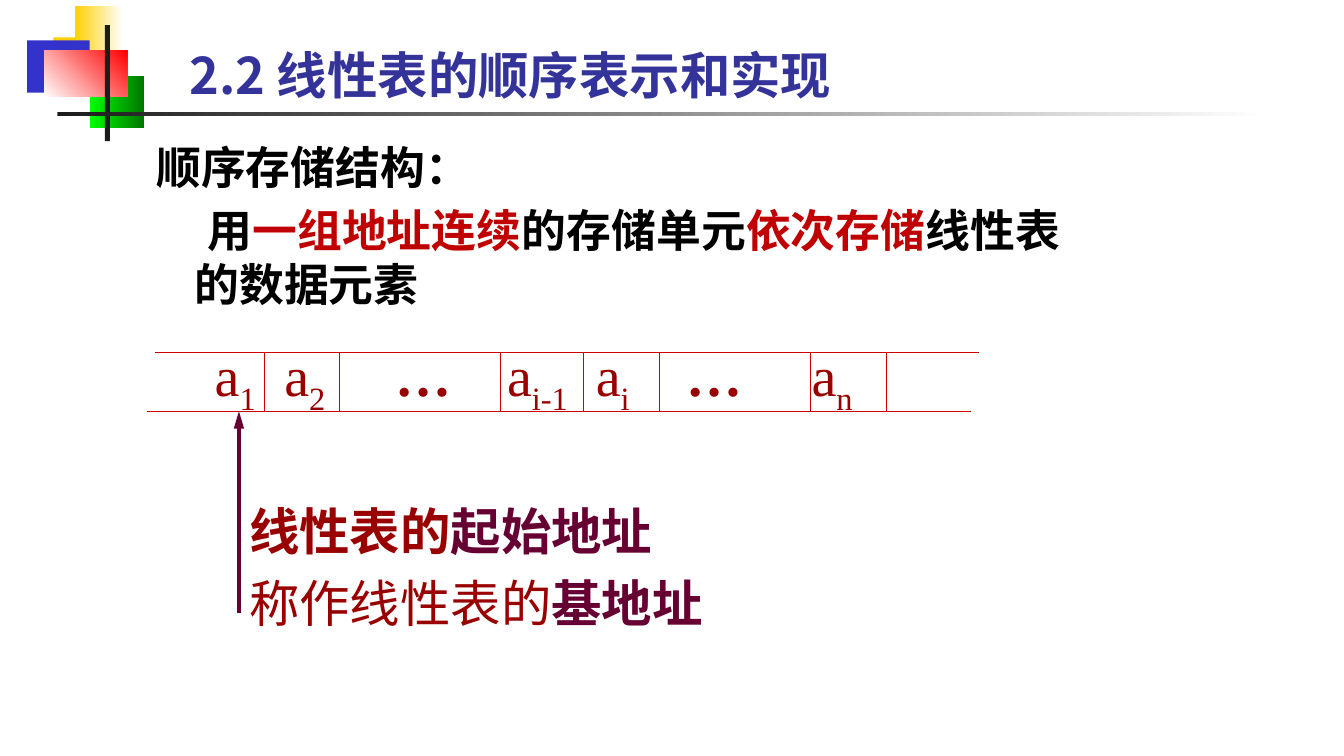
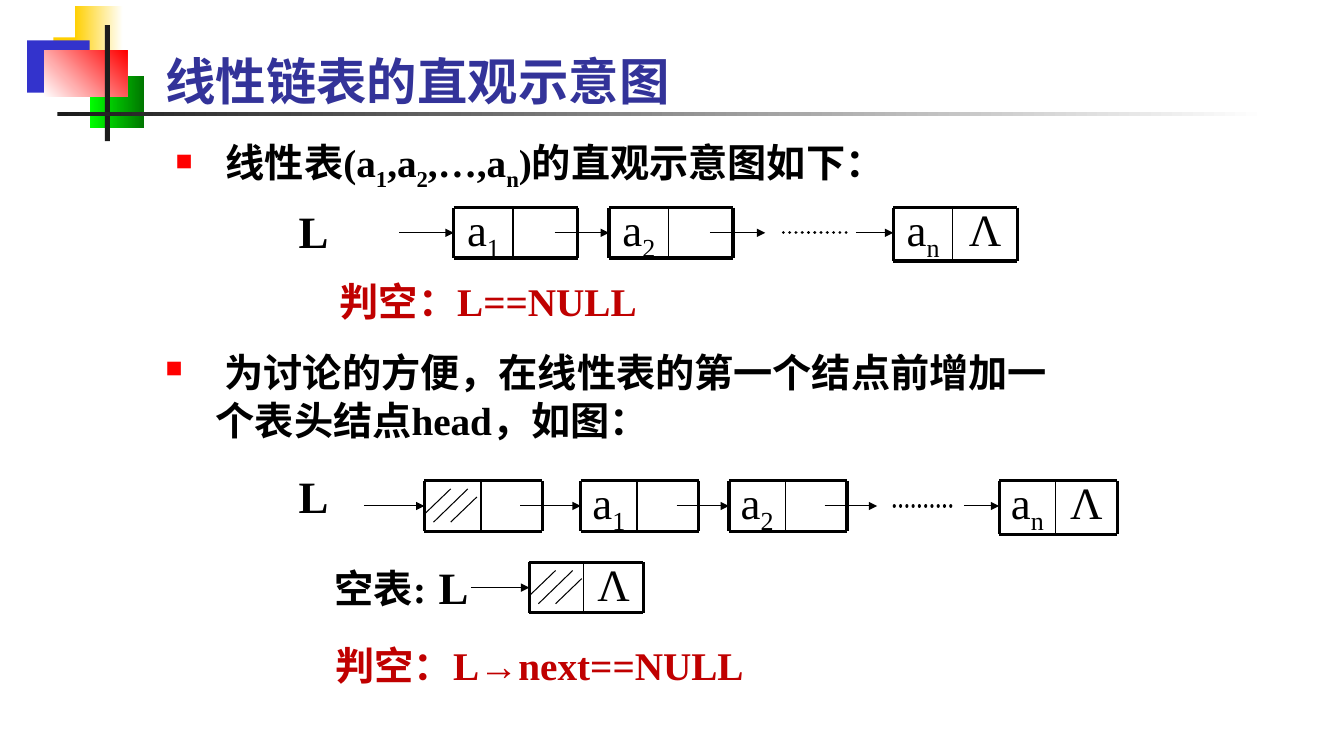
from lxml.etree import SubElement
from pptx import Presentation
from pptx.dml.color import RGBColor
from pptx.enum.dml import MSO_LINE
from pptx.enum.shapes import MSO_CONNECTOR, MSO_SHAPE
from pptx.enum.text import PP_ALIGN
from pptx.oxml.ns import qn
from pptx.util import Pt

PX = 9144
CJK, SERIF = "Noto Sans CJK SC", "Times New Roman"
BLACK, INK, WHITE, NAVY = "000000", "1C1C1C", "FFFFFF", "333399"
RED, CRIMSON, MAROON, PLUM = "C00000", "CC0000", "990000", "660033"
HATCH = [(43, 8, 9, 41), (52, 16, 26, 41), (26, 8, 0, 33)]


def px(*lengths):
    """Turn pixel lengths into EMU."""
    return [n * PX for n in lengths]


def rgb(color):
    """Return the colour of a hex string."""
    return RGBColor.from_string(color)


def sub(text):
    """Return a subscript run."""
    return text, {"base": -25000}


def add_run(p, text, size, font, color, bold=False, base=0):
    """Add one formatted run to a paragraph."""
    r = p.add_run()
    r.text = text
    r.font.size, r.font.name, r.font.bold = Pt(size), font, bold
    r.font.color.rgb = rgb(color)
    rPr = r._r.get_or_add_rPr()
    SubElement(rPr, qn("a:ea")).set("typeface", CJK)
    if base:
        rPr.set("baseline", str(base))


def add_bullet(pPr, percent):
    """Give a paragraph a red square bullet."""
    color = SubElement(pPr, qn("a:buClr"))
    SubElement(color, qn("a:srgbClr")).set("val", "FF0000")
    SubElement(pPr, qn("a:buSzPct")).set("val", str(percent * 1000))
    SubElement(pPr, qn("a:buChar")).set("char", "■")


def add_tabs(pPr, stops):
    """Give a paragraph left tab stops."""
    tabs = SubElement(pPr, qn("a:tabLst"))
    for stop in stops:
        tab = SubElement(tabs, qn("a:tab"))
        tab.set("pos", str(stop * PX))
        tab.set("algn", "l")


def add_text(s, x, y, w, h, *paras, size=28, font=SERIF, color=BLACK, bold=False,
             pitch=None, before=0, align=None, indents=(), bullet=0, tabs=()):
    """Add a text box whose paragraphs are lists of strings or (text, format) runs."""
    tf = s.shapes.add_textbox(*px(x, y, w, h)).text_frame
    tf.word_wrap = True
    tf.margin_left = tf.margin_right = tf.margin_top = tf.margin_bottom = 0
    for i, runs in enumerate(paras):
        p = tf.add_paragraph() if i else tf.paragraphs[0]
        if align:
            p.alignment = align
        if pitch:
            p.line_spacing = Pt(pitch)
        if i and before:
            p.space_before = Pt(before)
        pPr = p._p.get_or_add_pPr()
        if i < len(indents):
            left, first = px(*indents[i])
            pPr.set("marL", str(left))
            pPr.set("indent", str(first))
        if bullet:
            add_bullet(pPr, bullet)
        if tabs:
            add_tabs(pPr, tabs)
        for run in runs:
            text, own = (run, {}) if isinstance(run, str) else run
            add_run(p, text, **{"size": size, "font": font, "color": color, "bold": bold, **own})


def add_line(s, x1, y1, x2, y2, color=BLACK, width=0.75, arrow=None, dotted=False):
    """Add a straight line, with an arrowhead of a given length or dots if asked."""
    c = s.shapes.add_connector(MSO_CONNECTOR.STRAIGHT, *px(x1, y1, x2, y2))
    c.line.color.rgb, c.line.width = rgb(color), Pt(width)
    if dotted:
        c.line.dash_style = MSO_LINE.ROUND_DOT
        c.line._get_or_add_ln().set("cap", "rnd")
    if arrow:
        head = SubElement(c.line._get_or_add_ln(), qn("a:tailEnd"))
        head.set("type", "triangle")
        head.set("len", arrow)
    SubElement(c._element.spPr, qn("a:effectLst"))


def add_rect(s, x, y, w, h, fill, fade=None, angle=0):
    """Add a rectangle with a plain fill or a gradient."""
    shape = s.shapes.add_shape(MSO_SHAPE.RECTANGLE, *px(x, y, w, h))
    shape.shadow.inherit = False
    shape.line.fill.background()
    if fade:
        shape.fill.gradient()
        shape.fill.gradient_angle = angle
        for stop, color, place in zip(shape.fill.gradient_stops, (fill, fade), (0, 1)):
            stop.color.rgb, stop.position = rgb(color), place
    else:
        shape.fill.solid()
        shape.fill.fore_color.rgb = rgb(fill)


def add_slide(prs, title, x, y):
    """Add a slide with the corner ornament, the rule and a title."""
    s = prs.slides.add_slide(prs.slide_layouts[6])
    add_rect(s, 53, 37, 64, 52, "FFCF01")
    add_rect(s, 74, 6, 48, 52, "FFCF01", WHITE)
    add_rect(s, 27, 40, 62, 52, "3333CC")
    add_rect(s, 89, 75, 54, 52, "00FF00", "007600")
    add_rect(s, 44, 50, 82, 46, WHITE, "FF0000", angle=45)
    add_rect(s, 104, 25, 5, 115, INK)
    add_rect(s, 57, 111, 1200, 4, INK, WHITE)
    add_text(s, x, y, 1100, 60, [title], size=36, font=CJK, color=NAVY, bold=True, pitch=43)
    return s


def add_node(s, x, y, w, index=None, end=False):
    """Add a list node: element or hatched data field, then pointer or end mark."""
    h = 53 if end and index else 50
    split = round(w * 0.48)
    if index:
        add_text(s, x, y - 6, split, h, ["a", sub(index)], size=32, align=PP_ALIGN.CENTER)
    else:
        for x1, y1, x2, y2 in HATCH:
            add_line(s, x + x1, y + y1, x + x2, y + y2)
    if end:
        add_text(s, x + split, y - 6, w - split, h, ["Λ"], size=32, align=PP_ALIGN.CENTER)
    for edge in (y, y + h):
        add_line(s, x, edge, x + w, edge, width=2.25)
    for edge, width in [(x, 2.25), (x + split, 1), (x + w, 2.25)]:
        add_line(s, edge, y, edge, y + h, width=width)


def add_chain(s, y, w, nodes, arrows, dots=None):
    """Add a row of nodes with the arrows and dots that link them."""
    for x, index, end in nodes:
        add_node(s, x, y, w, index, end)
    for x1, x2 in arrows:
        add_line(s, x1, y + 25, x2, y + 25, arrow="med")
    if dots:
        add_line(s, dots[0], y + 25, dots[1], y + 25, width=2.25, dotted=True)


def add_pointer_name(s, x, y):
    """Add the bold letter that names the list pointer."""
    add_text(s, x, y, 50, 52, ["L"], size=32, bold=True, align=PP_ALIGN.CENTER)


def build_sequential(prs):
    """Build the slide on sequential storage."""
    s = add_slide(prs, "2.2 线性表的顺序表示和实现", 188, 44)
    red = {"color": RED}
    add_text(s, 155, 138, 923, 170, ["顺序存储结构："],
             ["用", ("一组地址连续", red), "的存储单元", ("依次存储", red), "线性表的数据元素"],
             size=32, font=CJK, bold=True, pitch=38.6, before=6.4, indents=[(38, -38), (38, 13)])
    dots = ("…", {"bold": True})
    add_text(s, 213, 338, 720, 70,
             ["a", sub("1"), "\ta", sub("2"), "\t", dots, "\ta", sub("i-1"),
              "\ta", sub("i"), "\t", dots, "\ta", sub("n")],
             size=40, color=MAROON, tabs=[69, 179, 290, 378, 468, 592])
    for x, y in [(154, 350), (146, 408)]:
        add_line(s, x, y, x + 817, y, CRIMSON)
    for x in [262, 337, 496, 579, 654, 804, 879]:
        add_line(s, x, 350, x, 408, CRIMSON)
    add_line(s, 237, 608, 237, 408, PLUM, 2.5, arrow="lg")
    key = {"color": PLUM, "bold": True}
    add_text(s, 247, 485, 480, 145,
             [("线性表的", {"bold": True}), ("起始地址", key)], ["称作线性表的", ("基地址", key)],
             size=36, font=CJK, color=MAROON, pitch=51.4)


def build_linked(prs):
    """Build the slide that draws linked lists."""
    s = add_slide(prs, "线性链表的直观示意图", 164, 50)
    body = {"bold": True, "pitch": 34}
    item = {"indents": [(50, -50)], "bullet": 60, **body}
    add_text(s, 174, 143, 800, 50,
             ["线性表(a", sub("1"), ",a", sub("2"), ",…,a", sub("n"), ")的直观示意图如下："], **item)
    add_text(s, 164, 345, 896, 100,
             [" 为讨论的方便，在线性表的第一个结点前增加一个表头结点head，如图："], **item)
    add_text(s, 337, 275, 420, 50, ["判空：L==NULL"], color=RED, **body)
    add_text(s, 333, 636, 500, 50, ["判空：L→next==NULL"], color=RED, **body)
    add_text(s, 332, 559, 110, 50, ["空表:"], **body)
    for x, y in [(286, 202), (286, 465), (425, 555)]:
        add_pointer_name(s, x, y)
    add_chain(s, 206, 123, [(450, "1", False), (604, "2", False), (886, "n", True)],
              [(396, 450), (550, 604), (704, 759), (849, 886)], (777, 840))
    add_chain(s, 477, 117,
              [(421, None, False), (576, "1", False), (723, "2", False), (991, "n", True)],
              [(361, 421), (516, 576), (671, 723), (818, 870), (956, 991)], (887, 948))
    add_chain(s, 558, 113, [(525, None, True)], [(467, 525)])


def main():
    """Build and save the presentation."""
    prs = Presentation()
    prs.slide_width, prs.slide_height = px(1333, 750)
    build_sequential(prs)
    build_linked(prs)
    prs.save("out.pptx")


if __name__ == "__main__":
    main()
